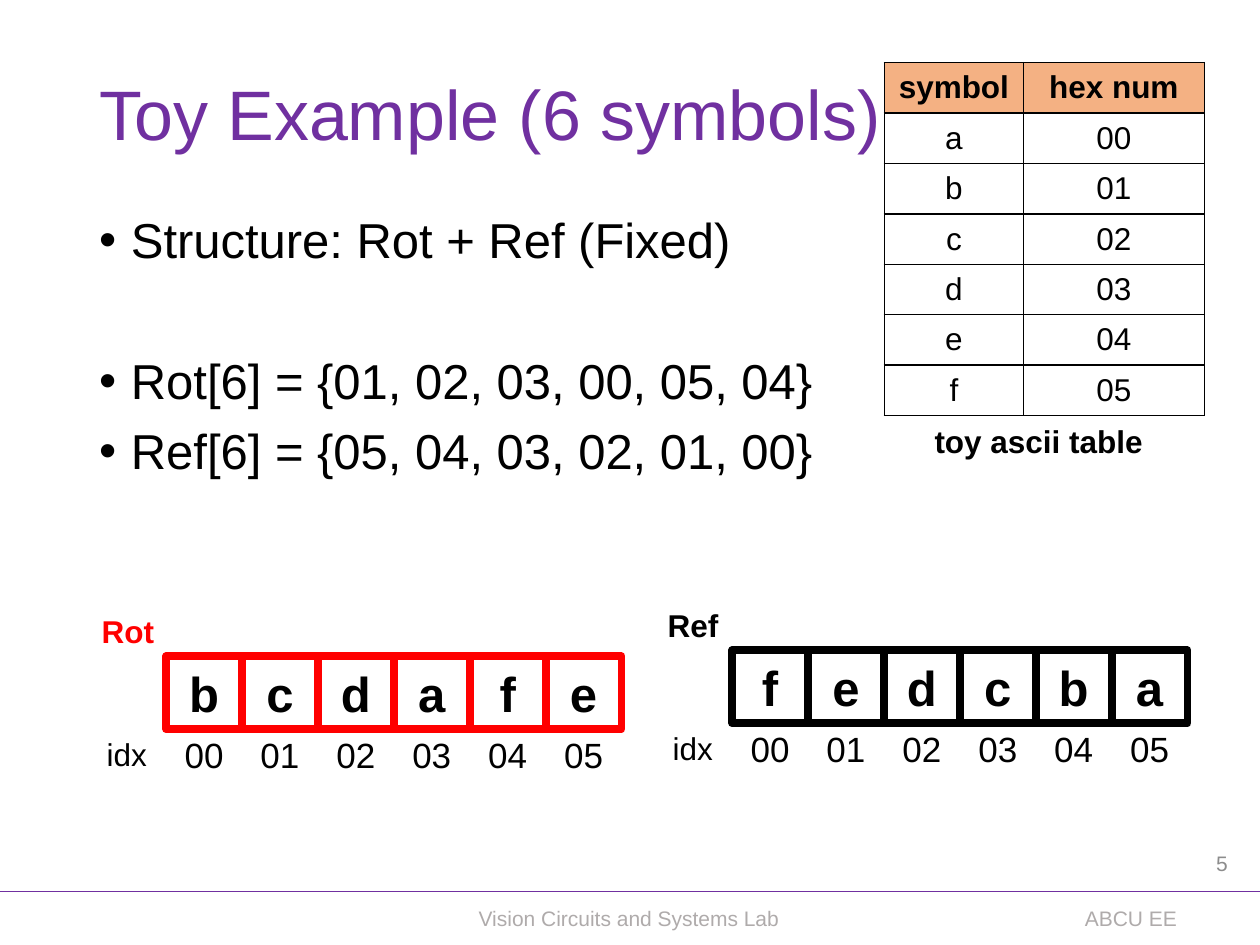
from lxml.etree import SubElement
from pptx import Presentation
from pptx.dml.color import RGBColor
from pptx.enum.shapes import MSO_CONNECTOR as Connector, MSO_SHAPE as Shape
from pptx.enum.text import MSO_ANCHOR as Anchor, PP_ALIGN as Align
from pptx.oxml.ns import qn
from pptx.util import Cm, Pt

COLORS = {
    "purple": "7030A0", "black": "000000", "red": "FF0000", "white": "FFFFFF",
    "footer": "AFABAB", "number": "8C8C8C", "header": "F4B183",
}
SYMBOLS = "abcdef"
CODES = [f"{index:02d}" for index in range(len(SYMBOLS))]
CELL_WIDTH, CELL_HEIGHT = 1.53, 1.47


def color(name):
    return RGBColor.from_string(COLORS[name])


def set_attributes(target, values):
    for name, value in values.items():
        setattr(target, name, value)


def write(paragraph, text, size, ink="black", bold=False, align=Align.LEFT, **spacing):
    run = paragraph.add_run()
    run.text = text
    set_attributes(run.font, {"name": "Arial", "size": Pt(size), "bold": bold})
    run.font.color.rgb = color(ink)
    set_attributes(paragraph, {"alignment": align, **spacing})


def add_label(shapes, box, text, size, anchor=Anchor.TOP, wrap=True, **style):
    label = shapes.add_textbox(*map(Cm, box))
    set_attributes(label.text_frame, {"word_wrap": wrap, "vertical_anchor": anchor})
    write(label.text_frame.paragraphs[0], text, size, **style)


def add_rule(slide, y):
    rule = slide.shapes.add_connector(Connector.STRAIGHT, 0, Cm(y), Cm(25.4), Cm(y))
    rule.line.color.rgb = color("purple")
    rule.line.width = Pt(0.5)
    SubElement(rule._element.spPr, qn("a:effectLst"))


def add_bullets(slide, box, items):
    body = slide.shapes.add_textbox(*map(Cm, box))
    frame = body.text_frame
    frame.word_wrap = True
    for index, (text, space) in enumerate(items):
        paragraph = frame.add_paragraph() if index else frame.paragraphs[0]
        write(paragraph, text, 28, line_spacing=0.9, space_before=Pt(space))
        properties = paragraph._p.get_or_add_pPr()
        properties.set("marL", str(Cm(0.64)))
        properties.set("indent", str(-Cm(0.64)))
        SubElement(properties, qn("a:buFont"), typeface="Arial")
        SubElement(properties, qn("a:buChar"), char="•")


def add_borders(cell):
    properties = cell._tc.get_or_add_tcPr()
    for position, side in enumerate(("lnL", "lnR", "lnT", "lnB")):
        line = properties.makeelement(qn(f"a:{side}"), {"w": str(Pt(1))})
        fill = SubElement(line, qn("a:solidFill"))
        SubElement(fill, qn("a:srgbClr"), val=COLORS["black"])
        properties.insert(position, line)


def add_symbol_table(slide, left, top, widths, row_height):
    rows = [("symbol", "hex num"), *zip(SYMBOLS, CODES)]
    table = slide.shapes.add_table(
        len(rows), len(widths), Cm(left), Cm(top),
        Cm(sum(widths)), Cm(row_height * len(rows))).table
    for column, width in zip(table.columns, widths):
        column.width = Cm(width)
    for row_index, values in enumerate(rows):
        table.rows[row_index].height = Cm(row_height)
        is_header = row_index == 0
        for column_index, text in enumerate(values):
            cell = table.cell(row_index, column_index)
            cell.vertical_anchor = Anchor.MIDDLE
            if is_header:
                cell.fill.solid()
                cell.fill.fore_color.rgb = color("header")
            else:
                cell.fill.background()
            write(cell.text_frame.paragraphs[0], text, 18,
                  bold=is_header, align=Align.CENTER)
            add_borders(cell)


def add_symbol_box(shapes, box, text, ink):
    square = shapes.add_shape(Shape.RECTANGLE, *map(Cm, box))
    square.shadow.inherit = False
    square.fill.background()
    square.line.color.rgb = color(ink)
    square.line.width = Pt(4.5)
    square.text_frame.vertical_anchor = Anchor.MIDDLE
    write(square.text_frame.paragraphs[0], text, 28, bold=True, align=Align.CENTER)


def add_array(slide, name, symbols, left, top, ink):
    """Row of boxed symbols with a name above and indices below."""
    shapes = slide.shapes.add_group_shape().shapes
    for index, (symbol, code) in enumerate(zip(symbols, CODES)):
        x = left + index * CELL_WIDTH
        add_symbol_box(shapes, (x, top, CELL_WIDTH, CELL_HEIGHT), symbol, ink)
        add_label(shapes, (x, top + 1.25, CELL_WIDTH, CELL_HEIGHT), code, 20,
                  anchor=Anchor.MIDDLE, align=Align.CENTER)
    add_label(shapes, (left - 1.45, top + CELL_HEIGHT, 1.32, 1.02), "idx", 18, wrap=False)
    add_label(shapes, (left - 1.55, top - 1.02, 1.57, 1.02), name, 18,
              wrap=False, ink=ink, bold=True)


def main():
    presentation = Presentation()
    set_attributes(presentation, {"slide_width": Cm(25.4), "slide_height": Cm(19.05)})
    slide = presentation.slides.add_slide(presentation.slide_layouts[6])
    slide.background.fill.solid()
    slide.background.fill.fore_color.rgb = color("white")

    # Footer
    add_rule(slide, 17.98)
    add_label(slide.shapes, (21.62, 18.14, 2.39, 0.76), "ABCU EE", 12,
              wrap=False, ink="footer")
    add_label(slide.shapes, (9.4, 18.14, 6.63, 0.76), "Vision Circuits and Systems Lab",
              12, wrap=False, ink="footer")
    add_label(slide.shapes, (19.28, 16.89, 5.72, 1.02), "5", 12,
              anchor=Anchor.MIDDLE, ink="number", align=Align.RIGHT)

    # Title and bullets
    add_label(slide.shapes, (1.75, 0.71, 21.89, 3.35), "Toy Example (6 symbols)", 40,
              anchor=Anchor.MIDDLE, ink="purple", line_spacing=0.9)
    add_bullets(slide, (1.75, 4.24, 21.89, 7.8), [
        ("Structure: Rot + Ref (Fixed)", 10),
        ("Rot[6] = {01, 02, 03, 00, 05, 04}", 50),
        ("Ref[6] = {05, 04, 03, 02, 01, 00}", 10),
    ])

    # Symbol table with caption
    add_symbol_table(slide, 17.83, 1.26, (2.8, 3.65), 0.97)
    add_label(slide.shapes, (18.59, 8.38, 4.93, 1.02), "toy ascii table", 18, bold=True)

    # Rotor and reflector arrays
    add_array(slide, "Rot", "bcdafe", 3.35, 13.23, "red")
    add_array(slide, "Ref", "fedcba", 14.76, 13.11, "black")

    presentation.save("out.pptx")


if __name__ == "__main__":
    main()
